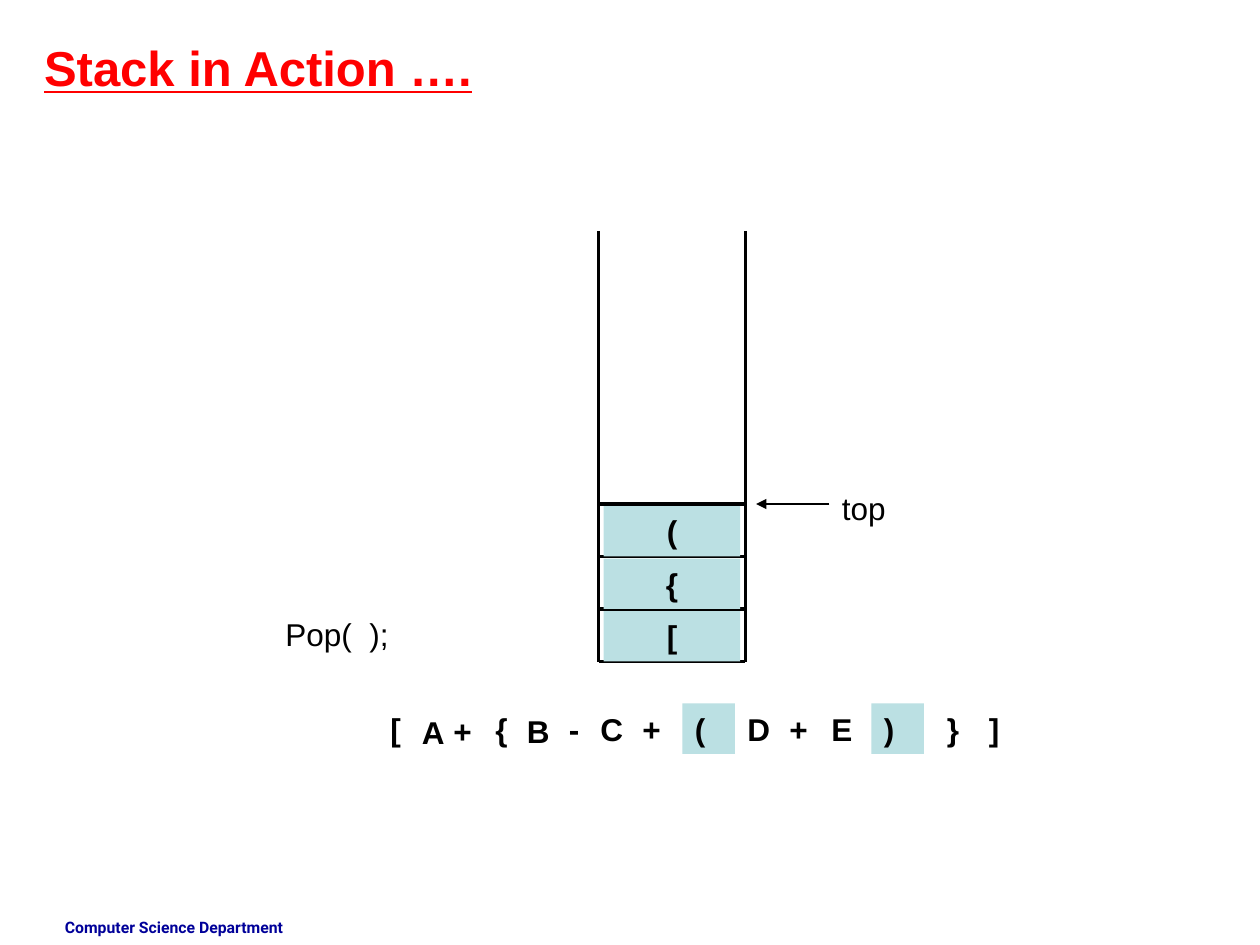
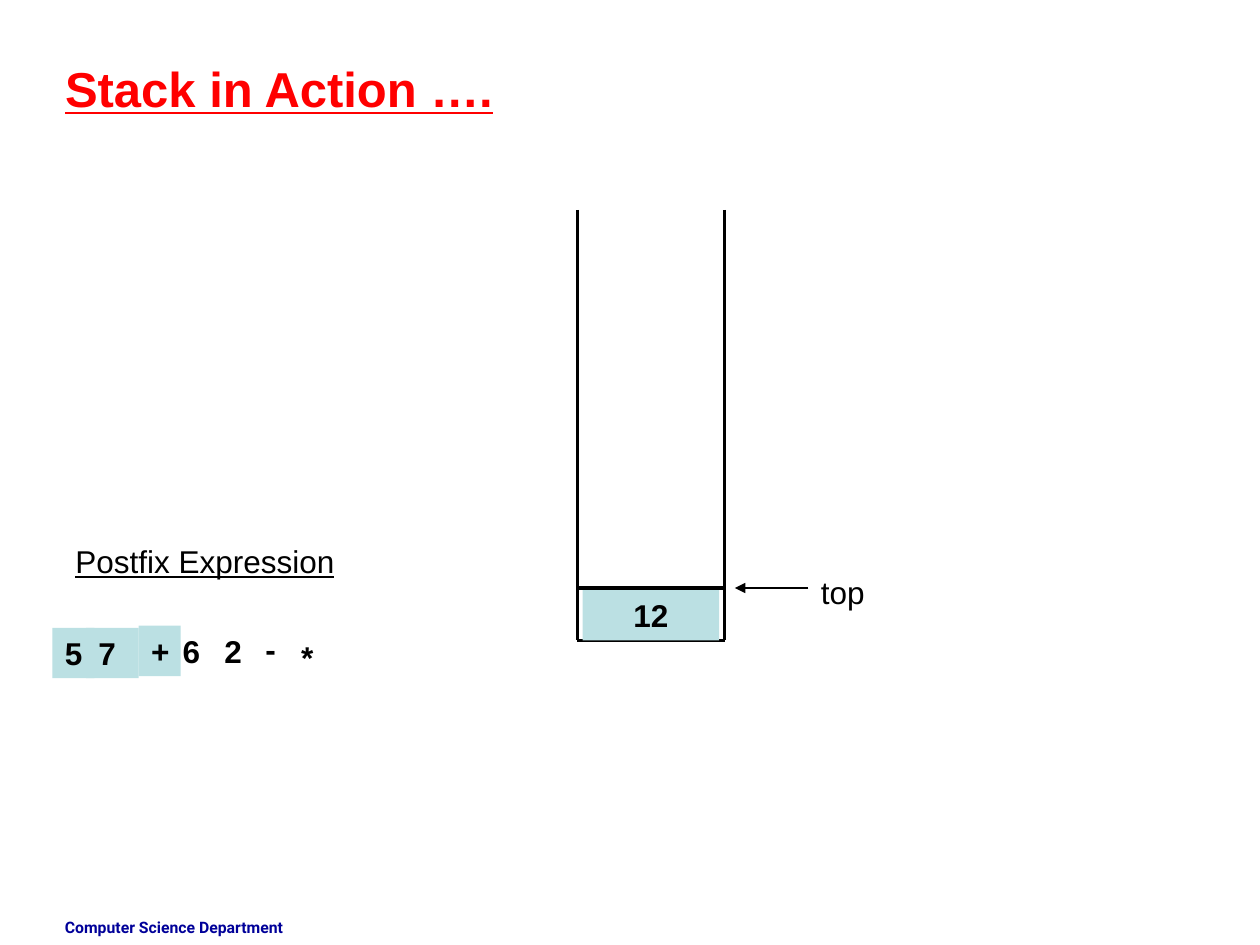
import pptx
import pptx.util
import pptx.dml.color
import pptx.enum.shapes
import pptx.enum.text
import pptx.oxml
import pptx.oxml.ns

PX = 7620  # EMU in one px, 120 px to the inch
RED = pptx.dml.color.RGBColor(0xFF, 0x00, 0x00)
BLACK = pptx.dml.color.RGBColor(0x00, 0x00, 0x00)
NAVY = pptx.dml.color.RGBColor(0x00, 0x00, 0x99)
PALE_BLUE = pptx.dml.color.RGBColor(0xBB, 0xE0, 0xE3)
LEFT = pptx.enum.text.PP_ALIGN.LEFT
CENTER = pptx.enum.text.PP_ALIGN.CENTER

BOX_HEIGHT = 48
CELL_STEP = 50
STACK_WIDTH = 140
STACK_HEIGHT = 410


def write(slide, text, left, top, width, height=BOX_HEIGHT, box=None, size=18, font="Arial",
          color=BLACK, bold=False, underline=False, align=LEFT, fill=None):
    """Write text in the given box, in a filled rectangle or in a new text box."""
    place = [length * PX for length in (left, top, width, height)]
    if box is not None:
        box.left, box.top, box.width, box.height = place
    elif fill is not None:
        box = slide.shapes.add_shape(pptx.enum.shapes.MSO_SHAPE.RECTANGLE, *place)
        box.shadow.inherit = False
        box.fill.solid()
        box.fill.fore_color.rgb = fill
        box.line.fill.background()
    else:
        box = slide.shapes.add_textbox(*place)
    frame = box.text_frame
    frame.word_wrap = True
    frame.auto_size = pptx.enum.text.MSO_AUTO_SIZE.NONE
    frame.vertical_anchor = pptx.enum.text.MSO_ANCHOR.TOP
    frame.text = text
    paragraph = frame.paragraphs[0]
    paragraph.alignment = align
    paragraph.font.size = pptx.util.Pt(size)
    paragraph.font.name = font
    paragraph.font.color.rgb = color
    paragraph.font.bold = bold
    paragraph.font.underline = underline


def draw_line(slide, x1, y1, x2, y2, weight=2.25, arrow=False):
    """Draw a black line, with an arrowhead at its end if asked."""
    line = slide.shapes.add_connector(pptx.enum.shapes.MSO_CONNECTOR.STRAIGHT,
                                      x1 * PX, y1 * PX, x2 * PX, y2 * PX)
    line.line.color.rgb = BLACK
    line.line.width = pptx.util.Pt(weight)
    if arrow:
        head = pptx.oxml.parse_xml(f'<a:tailEnd {pptx.oxml.ns.nsdecls("a")} type="triangle"/>')
        line.line._get_or_add_ln().append(head)
    line._element.spPr.append(
        pptx.oxml.parse_xml(f'<a:effectLst {pptx.oxml.ns.nsdecls("a")}/>'))


# Each token: text, left, top, width, whether it is highlighted
brackets = [
    ("[", 360, 670, 40, False), ("A", 390, 673, 50, False), ("+", 420, 672, 40, False),
    ("{", 460, 670, 40, False), ("B", 490, 672, 50, False), ("-", 530, 670, 40, False),
    ("C", 560, 670, 50, False), ("+", 600, 670, 50, False), ("(", 650, 670, 50, True),
    ("D", 700, 670, 50, False), ("+", 740, 670, 50, False), ("E", 780, 670, 50, False),
    (")", 830, 670, 50, True), ("}", 890, 670, 50, False), ("]", 930, 670, 50, False),
]
postfix = [
    ("5", 50, 598, 40, True), ("7", 82, 598, 50, True), ("+", 132, 596, 40, True),
    ("6", 162, 596, 40, False), ("2", 202, 596, 50, False), ("-", 241, 594, 40, False),
    ("*", 275, 602, 50, False),
]

# Stack contents run from the bottom up
steps = [
    dict(title_at=(30, 30), stack_at=(570, 220), stack=["[", "{", "("], tokens=brackets,
         label=dict(text="Pop(  );", left=260, top=580, width=190)),
    dict(title_at=(50, 50), stack_at=(550, 200), stack=["12"], tokens=postfix,
         label=dict(text="Postfix Expression", left=60, top=510, width=330, underline=True)),
]

prs = pptx.Presentation()
prs.slide_width = 1200 * PX
prs.slide_height = 900 * PX
title_only = prs.slide_layouts[5]

for step in steps:
    slide = prs.slides.add_slide(title_only)

    # Title and footer
    write(slide, "Stack in Action ….", *step["title_at"], 790, 68, box=slide.shapes.title,
          size=28, color=RED, bold=True, underline=True)
    write(slide, "Computer Science Department", 50, 868, 280, 32,
          size=9, font="Roboto", color=NAVY, bold=True)

    # Open-topped stack
    stack_left, stack_top = step["stack_at"]
    stack_right = stack_left + STACK_WIDTH
    stack_base = stack_top + STACK_HEIGHT
    for wall in (stack_left, stack_right):
        draw_line(slide, wall, stack_top, wall, stack_base)
    draw_line(slide, stack_left, stack_base, stack_right, stack_base)

    # Stacked items
    for level, item in enumerate(step["stack"], start=1):
        item_top = stack_base - level * CELL_STEP
        draw_line(slide, stack_left, item_top, stack_right, item_top)
        write(slide, item, stack_left + 5, item_top + 2, 130,
              bold=True, align=CENTER, fill=PALE_BLUE)

    # Pointer to the top item
    write(slide, "top", stack_right + 80, item_top - 20, 180)
    draw_line(slide, stack_right + 80, item_top, stack_right + 10, item_top,
              weight=0.75, arrow=True)

    # Expression and its label
    for token, left, top, width, highlighted in step["tokens"]:
        write(slide, token, left, top, width, bold=True,
              fill=PALE_BLUE if highlighted else None)
    write(slide, **step["label"])

prs.save("out.pptx")
